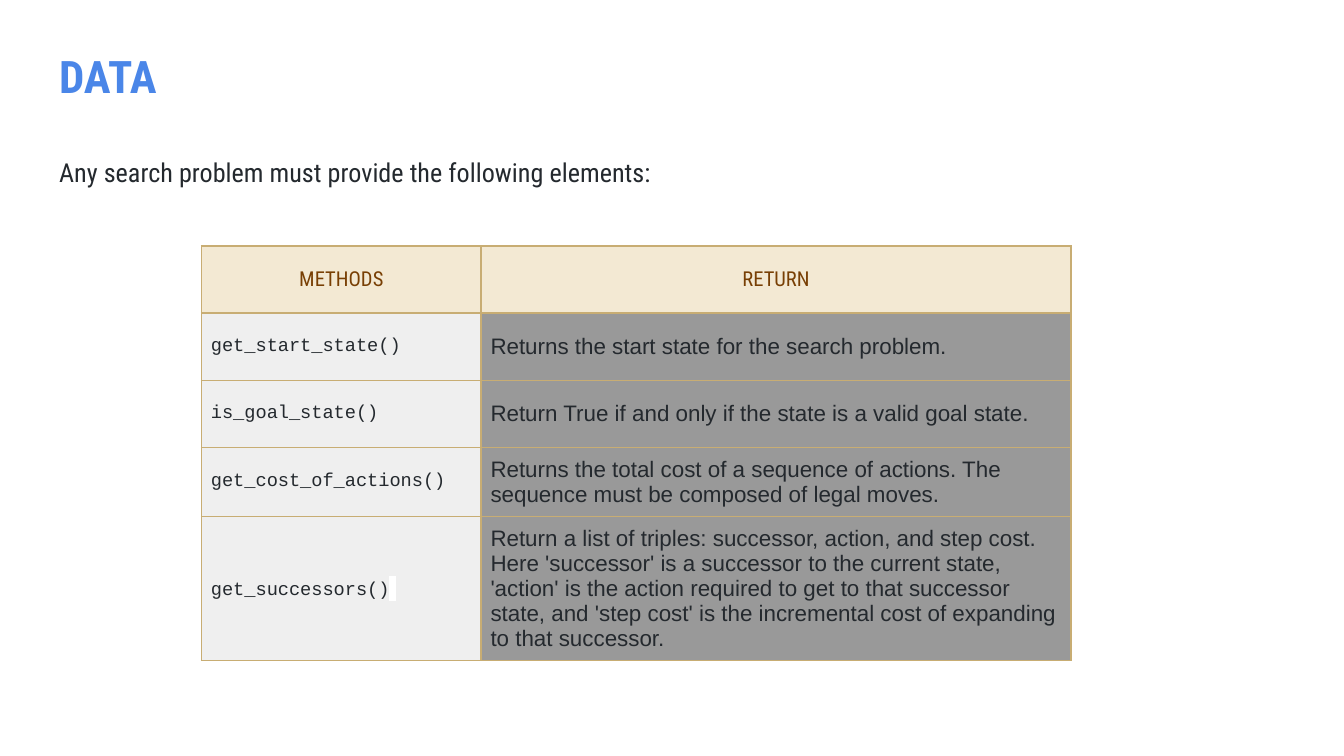
"""Build the DATA slide: an intro line and a table of search problem methods."""
from lxml import etree
from pptx import Presentation
from pptx.dml.color import RGBColor
from pptx.enum.text import MSO_ANCHOR, MSO_AUTO_SIZE, PP_ALIGN
from pptx.oxml.ns import qn
from pptx.util import Inches, Pt

TOP, MIDDLE = MSO_ANCHOR.TOP, MSO_ANCHOR.MIDDLE
LEFT, CENTER = PP_ALIGN.LEFT, PP_ALIGN.CENTER
NO_FIT = MSO_AUTO_SIZE.NONE

COLORS = {
    "title": "4A86E8",
    "ink": "24292E",
    "header_ink": "783F04",
    "header": "F3E9D3",
    "method": "EFEFEF",
    "result": "999999",
    "border": "C8AD73",
    "highlight": "FFFFFF",
}
STYLES = {
    "title": ("Roboto Condensed", 24, "title", True),
    "intro": ("Roboto Condensed", 14, "ink", False),
    "header": ("Roboto Condensed", 11, "header_ink", False),
    "method": ("Courier New", 10, "ink", False),
    "result": ("Arial", 12, "ink", False),
}

TITLE = "DATA"
INTRO = "Any search problem must provide the following elements:"
HEADERS = ("METHODS", "RETURN")
METHODS = [
    ("get_start_state()", "Returns the start state for the search problem."),
    ("is_goal_state()", "Return True if and only if the state is a valid goal state."),
    ("get_cost_of_actions()",
     "Returns the total cost of a sequence of actions. "
     "The sequence must be composed of legal moves."),
    ("get_successors()",
     "Return a list of triples: successor, action, and step cost. "
     "Here 'successor' is a successor to the current state, "
     "'action' is the action required to get to that successor state, "
     "and 'step cost' is the incremental cost of expanding to that successor."),
]

SLIDE_WIDTH = 10
SLIDE_HEIGHT = SLIDE_WIDTH * 9 / 16
TEXT_LEFT, TEXT_WIDTH = 0.34, 9.32
TABLE_LEFT, TABLE_TOP = 1.5, 1.83
COLUMN_WIDTHS = (2.08, 4.39)
ROW_HEIGHT = 0.5
CELL_MARGIN = 0.07
BORDER_WIDTH = 1


def add_run(paragraph, text, style):
    name, size, color, bold = STYLES[style]
    run = paragraph.add_run()
    run.text = text
    run.font.name = name
    run.font.size = Pt(size)
    run.font.bold = bold
    run.font.color.rgb = RGBColor.from_string(COLORS[color])
    return run


def highlight(run, color):
    mark = etree.Element(qn("a:highlight"))
    etree.SubElement(mark, qn("a:srgbClr"), val=COLORS[color])
    run.font._element.find(qn("a:solidFill")).addnext(mark)


def fill_placeholder(shape, top, height, text, style):
    shape.left, shape.top = Inches(TEXT_LEFT), Inches(top)
    shape.width, shape.height = Inches(TEXT_WIDTH), Inches(height)
    frame = shape.text_frame
    frame.auto_size = NO_FIT
    frame.word_wrap = True
    frame.vertical_anchor = TOP
    frame.margin_left = frame.margin_right = Inches(0.1)
    frame.margin_top = frame.margin_bottom = Inches(0.1)
    paragraph = frame.paragraphs[0]
    properties = paragraph._p.get_or_add_pPr()
    properties.set("marL", "0")
    properties.set("indent", "0")
    etree.SubElement(properties, qn("a:buNone"))
    paragraph.alignment = LEFT
    paragraph.line_spacing = 1.3
    paragraph.space_before = Pt(0)
    add_run(paragraph, text, style)


def add_borders(cell):
    properties = cell._tc.get_or_add_tcPr()
    for side in ("lnL", "lnR", "lnT", "lnB"):
        line = etree.SubElement(properties, qn(f"a:{side}"), w=str(Pt(BORDER_WIDTH)))
        fill = etree.SubElement(line, qn("a:solidFill"))
        etree.SubElement(fill, qn("a:srgbClr"), val=COLORS["border"])


def fill_cell(cell, text, style, alignment):
    add_borders(cell)
    cell.fill.solid()
    cell.fill.fore_color.rgb = RGBColor.from_string(COLORS[style])
    cell.vertical_anchor = MIDDLE
    cell.margin_left = cell.margin_right = Inches(CELL_MARGIN)
    cell.margin_top = cell.margin_bottom = Inches(CELL_MARGIN)
    paragraph = cell.text_frame.paragraphs[0]
    paragraph.alignment = alignment
    add_run(paragraph, text, style)
    return paragraph


def add_methods_table(slide):
    row_count = len(METHODS) + 1
    table = slide.shapes.add_table(
        row_count, len(HEADERS), Inches(TABLE_LEFT), Inches(TABLE_TOP),
        Inches(sum(COLUMN_WIDTHS)), Inches(ROW_HEIGHT * row_count)).table
    table.first_row = table.horz_banding = False
    for column, width in zip(table.columns, COLUMN_WIDTHS):
        column.width = Inches(width)
    for index, header in enumerate(HEADERS):
        fill_cell(table.cell(0, index), header, "header", CENTER)
    for row, (method, result) in enumerate(METHODS, start=1):
        method_paragraph = fill_cell(table.cell(row, 0), method, "method", LEFT)
        fill_cell(table.cell(row, 1), result, "result", LEFT)
    highlight(add_run(method_paragraph, " ", "result"), "highlight")


def main():
    presentation = Presentation()
    presentation.slide_width = Inches(SLIDE_WIDTH)
    presentation.slide_height = Inches(SLIDE_HEIGHT)
    slide = presentation.slides.add_slide(presentation.slide_layouts[1])
    fill_placeholder(slide.shapes.title, 0.14, 0.83, TITLE, "title")
    fill_placeholder(slide.placeholders[1], 0.99, 0.69, INTRO, "intro")
    add_methods_table(slide)
    presentation.save("out.pptx")


if __name__ == "__main__":
    main()
